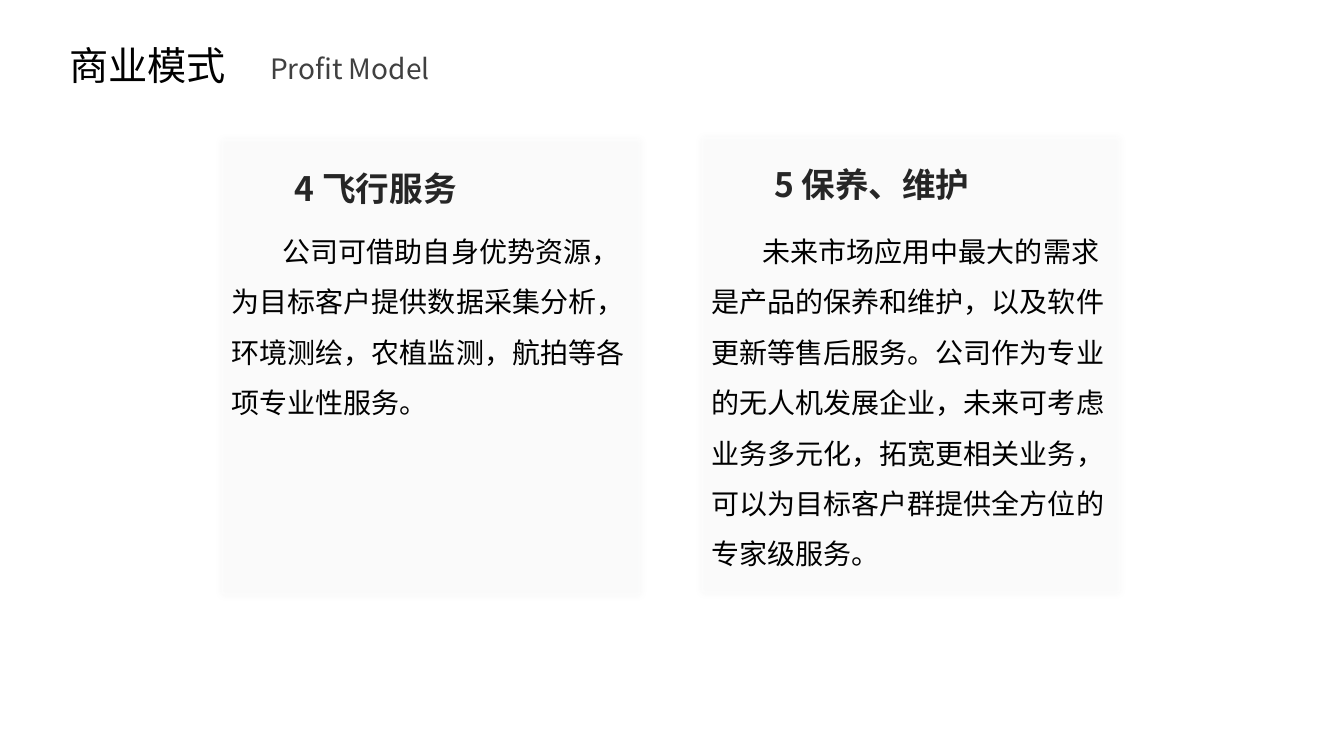
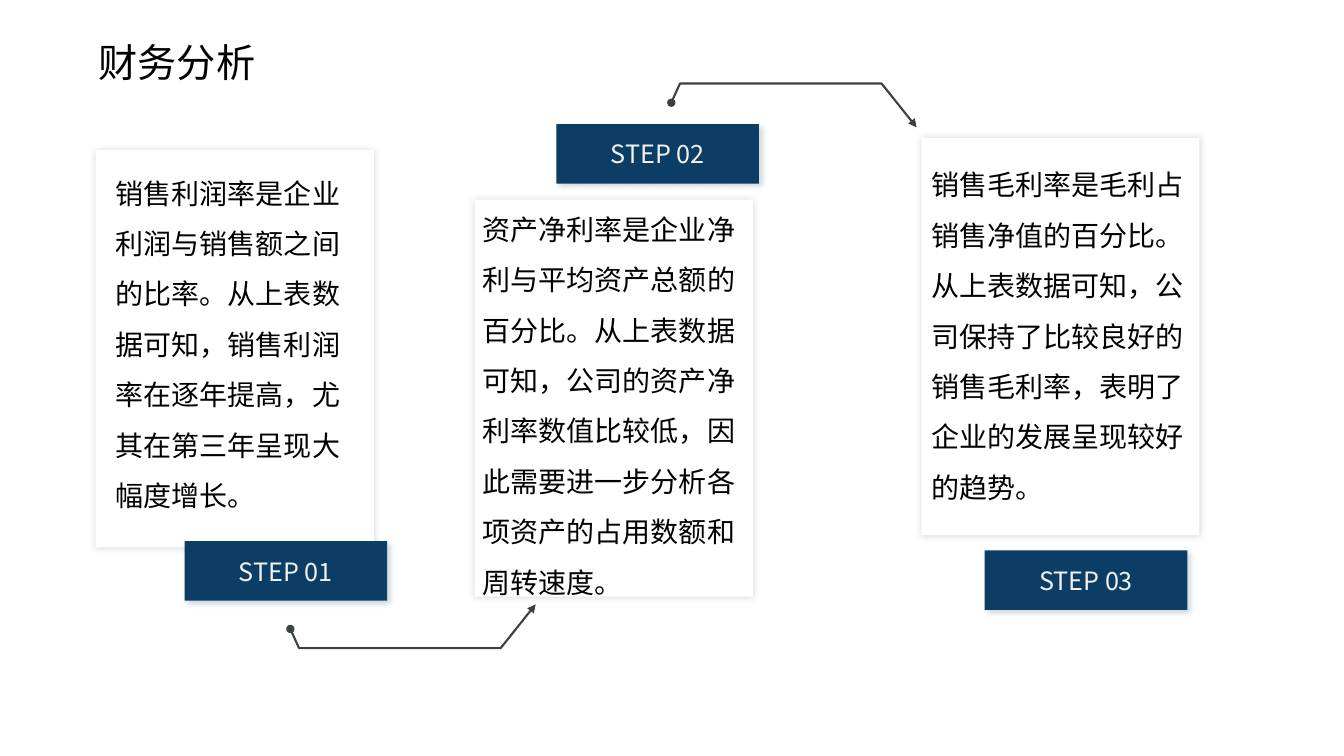
import pptx
import pptx.dml.color
import pptx.enum.shapes
import pptx.enum.text
import pptx.oxml
import pptx.oxml.ns
import pptx.util

Pt = pptx.util.Pt
RGBColor = pptx.dml.color.RGBColor
PP_ALIGN = pptx.enum.text.PP_ALIGN
MSO_ANCHOR = pptx.enum.text.MSO_ANCHOR
qn = pptx.oxml.ns.qn

BLACK = RGBColor(0x00, 0x00, 0x00)
WHITE = RGBColor(0xFF, 0xFF, 0xFF)
NAVY = RGBColor(0x0C, 0x3D, 0x65)
SLATE = RGBColor(0x3B, 0x41, 0x41)
HEADING = RGBColor(0x26, 0x26, 0x26)
SUBTITLE = RGBColor(0x40, 0x40, 0x40)
LABEL = RGBColor(0xF2, 0xF2, 0xF2)
CJK_FONT = "Noto Sans CJK SC"
LATIN_FONT = "Noto Sans CJK JP"

SERVICES = [
    dict(panel=(158.4, 99.4), heading=(167, 116.6, 203), number_title="4 飞行服务",
         body="公司可借助自身优势资源，为目标客户提供数据采集分析，环境测绘，农植监测，航拍等各项专业性服务。"),
    dict(panel=(501.1, 97.9), heading=(509, 113.8, 227.5), number_title="5 保养、维护",
         body="未来市场应用中最大的需求是产品的保养和维护，以及软件更新等售后服务。公司作为专业的无人机发展企业，"
              "未来可考虑业务多元化，拓宽更相关业务，可以为目标客户群提供全方位的专家级服务。"),
]

STEPS = [
    dict(panel=(68.4, 107.3), label=(131.8, 386.6), box=(75.6, 110.2, 189.4, 258.5),
         body="销售利润率是企业利润与销售额之间的比率。从上表数据可知，销售利润率在逐年提高，尤其在第三年呈现大幅度增长。"),
    dict(panel=(339.1, 142.6), label=(397.4, 88.6), box=(337.7, 136.1, 202.3, 298.1),
         body="资产净利率是企业净利与平均资产总额的百分比。从上表数据可知，公司的资产净利率数值比较低，"
              "因此需要进一步分析各项资产的占用数额和周转速度。"),
    dict(panel=(658.1, 98.6), label=(703.4, 393.1), box=(658.1, 104.4, 198.7, 262.1),
         body="销售毛利率是毛利占销售净值的百分比。从上表数据可知，公司保持了比较良好的销售毛利率，"
              "表明了企业的发展呈现较好的趋势。"),
]


def write_text(sp, text, *, size, color, font=CJK_FONT, bold=False,
               align=PP_ALIGN.LEFT, spacing=None, indent=0):
    p = sp.text_frame.paragraphs[0]
    p.alignment = align
    if spacing:
        p.line_spacing = spacing
    if indent:
        p._p.get_or_add_pPr().set("indent", str(Pt(indent)))
    r = p.add_run()
    r.text = text
    r.font.size = Pt(size)
    r.font.bold = bold
    r.font.name = font
    r.font.color.rgb = color
    pptx.oxml.ns.qn("a:ea")
    ea = r._r.get_or_add_rPr().makeelement(qn("a:ea"), {"typeface": font})
    r._r.rPr.find(qn("a:latin")).addnext(ea)


def add_child(parent, tag, **attributes):
    child = parent.makeelement(qn(tag), {k: str(v) for k, v in attributes.items()})
    parent.append(child)
    return child


class Deck:
    def __init__(self):
        self.prs = pptx.Presentation()
        self.prs.slide_width, self.prs.slide_height = Pt(960), Pt(540)
        self.s = None

    def new_slide(self):
        self.s = self.prs.slides.add_slide(self.prs.slide_layouts[6])

    def text(self, x, y, w, h, text, **fmt):
        sp = self.s.shapes.add_textbox(Pt(x), Pt(y), Pt(w), Pt(h))
        sp.text_frame.word_wrap = True
        write_text(sp, text, **fmt)

    def title(self, x, y, text):
        self.text(x, y, 131, 41, text, size=28, color=BLACK)

    def body(self, x, y, w, h, text, indent=0):
        self.text(x, y, w, h, text, size=20, color=BLACK, spacing=1.5, indent=indent)

    def rect(self, x, y, w, h, fill, shadow, shadow_alpha, blur, dist=0, angle=0, alpha=100):
        sp = self.s.shapes.add_shape(pptx.enum.shapes.MSO_SHAPE.RECTANGLE,
                                     Pt(x), Pt(y), Pt(w), Pt(h))
        sp.fill.solid()
        sp.fill.fore_color.rgb = fill
        if alpha < 100:
            color = sp._element.spPr.find(qn("a:solidFill"))[0]
            add_child(color, "a:alpha", val=alpha * 1000)
        sp.line.fill.background()
        sp.shadow.inherit = False
        effects = sp._element.spPr.find(qn("a:effectLst"))
        outer = add_child(effects, "a:outerShdw", blurRad=Pt(blur), dist=Pt(dist),
                          dir=angle * 60000, algn="ctr", rotWithShape=0)
        add_child(add_child(outer, "a:srgbClr", val=shadow), "a:alpha",
                  val=shadow_alpha * 1000)
        return sp

    def service(self, panel, heading, number_title, body):
        x, y = panel
        self.rect(x, y, 298.8, 325.4, WHITE, SLATE, 10, 5, alpha=40)
        hx, hy, hw = heading
        self.text(hx, hy, hw, 36, number_title, size=24, color=HEADING, bold=True,
                  align=PP_ALIGN.CENTER)
        self.body(x, 151.9, 298.8, 262, body, indent=36.5)

    def step(self, number, panel, label, box, body):
        self.rect(*panel, 198.7, 283.7, WHITE, SLATE, 20, 5)
        sp = self.rect(*label, 144.7, 42.5, NAVY, NAVY, 20, 4, dist=3, angle=45)
        sp.text_frame.vertical_anchor = MSO_ANCHOR.MIDDLE
        write_text(sp, f"STEP {number:02}", size=18, color=LABEL, font=LATIN_FONT,
                   align=PP_ALIGN.CENTER)
        self.body(*box, body)

    def route(self, x, y, direction):
        bends = [(6.2, 13.7), (150.2, 13.7), (175.2, -17.6)]
        builder = self.s.shapes.build_freeform(Pt(x), Pt(y))
        builder.add_line_segments([(Pt(x + dx), Pt(y + direction * dy)) for dx, dy in bends],
                                  close=False)
        sp = builder.convert_to_shape()
        sp.fill.background()
        sp.shadow.inherit = False
        sp.line.color.rgb = SLATE
        sp.line.width = Pt(1.5)
        ln = sp._element.spPr.find(qn("a:ln"))
        add_child(ln, "a:headEnd", type="oval")
        add_child(ln, "a:tailEnd", type="triangle")


def main():
    deck = Deck()

    deck.new_slide()
    deck.title(42.5, 25.9, "商业模式")
    deck.text(185.8, 33.1, 204.5, 31.7, "Profit Model", size=20, color=SUBTITLE,
              font=LATIN_FONT)
    for service in SERVICES:
        deck.service(**service)

    deck.new_slide()
    deck.title(63.4, 23.8, "财务分析")
    for number, step in enumerate(STEPS, 1):
        deck.step(number, **step)
    deck.route(207.4, 449.3, 1)
    deck.route(479.5, 73.4, -1)

    deck.prs.save("out.pptx")


if __name__ == "__main__":
    main()
